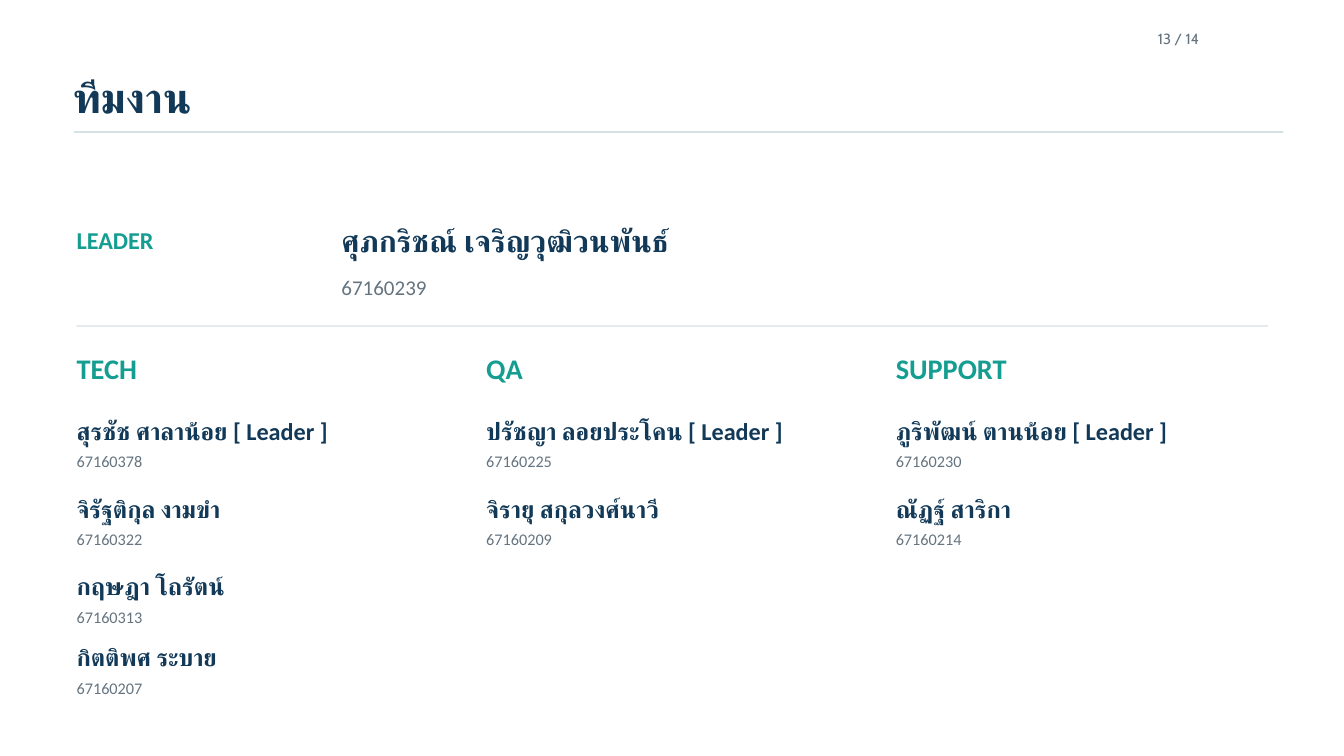
from lxml.etree import SubElement
from pptx import Presentation
from pptx.dml.color import RGBColor
from pptx.enum.shapes import MSO_SHAPE as Shape
from pptx.enum.text import MSO_AUTO_SIZE as Fit
from pptx.oxml.ns import qn
from pptx.util import Inches, Pt

WIDE, HIGH = 20, 11.25
NAVY, TEAL, GRAY, RULE = "123A58", "149D91", "657480", "D6E1E6"

# Grid: three team columns, four member rows
LEFT, STEP = 1.14, 6.095
ROWS = [6.19, 7.35, 8.51, 9.56]
DROP = 0.53  # from a name down to its number

TEAMS = {
    "TECH": [
        ("สุรชัช ศาลาน้อย [ Leader ]", "67160378"),
        ("จิรัฐติกุล งามขำ", "67160322"),
        ("กฤษฎา โถรัตน์", "67160313"),
        ("กิตติพศ ระบาย", "67160207"),
    ],
    "QA": [
        ("ปรัชญา ลอยประโคน [ Leader ]", "67160225"),
        ("จิรายุ สกุลวงศ์นาวี", "67160209"),
    ],
    "SUPPORT": [
        ("ภูริพัฒน์ ตานน้อย [ Leader ]", "67160230"),
        ("ณัฏฐ์ สาริกา", "67160214"),
    ],
}


def color(code):
    return RGBColor.from_string(code)


def add_text(slide, words, box, size, ink, bold=False, face="Calibri"):
    """Place one line of text with a line height of 1.2."""
    frame = slide.shapes.add_textbox(*map(Inches, box)).text_frame
    frame.margin_left = frame.margin_right = 0
    frame.margin_top = frame.margin_bottom = 0
    frame.word_wrap = True
    frame.auto_size = Fit.SHAPE_TO_FIT_TEXT
    para = frame.paragraphs[0]
    para.line_spacing = Pt(size * 1.2)
    run = para.add_run()
    run.text = words
    font = run.font
    font.name, font.size, font.bold = face, Pt(size), bold
    font.color.rgb = color(ink)
    # Thai letters take the complex-script face
    SubElement(run._r.get_or_add_rPr(), qn("a:cs"), typeface=face)


def add_rule(slide, *box):
    """Draw a thin filled bar."""
    bar = slide.shapes.add_shape(Shape.RECTANGLE, *map(Inches, box))
    bar.shadow.inherit = False
    bar.fill.solid()
    bar.fill.fore_color.rgb = color(RULE)
    bar.line.fill.background()


def add_team(slide, left, title, people):
    """Fill one column with a team title and its members."""
    add_text(slide, title, (left, 5.23, 5.55, 0.5), 30.4, TEAL, True)
    for top, (name, code) in zip(ROWS, people):
        add_text(slide, name, (left, top, 5.52, 0.44), 25.9, NAVY, True)
        add_text(slide, code, (left, top + DROP, 1.48, 0.28), 17.4, GRAY)


def main():
    deck = Presentation()
    deck.slide_width, deck.slide_height = Inches(WIDE), Inches(HIGH)
    slide = deck.slides.add_slide(deck.slide_layouts[6])

    # Header
    add_text(slide, "13 / 14", (17.23, 0.44, 1.68, 0.26), 15.8, GRAY,
             face="Cabin")
    add_text(slide, "ทีมงาน", (1.1, 1.06, 17.8, 0.76), 45, NAVY, True)
    add_rule(slide, 1.1, 1.95, 18, 0.03)

    # Project leader
    add_text(slide, "LEADER", (LEFT, 3.36, 3.75, 0.44), 25.9, TEAL, True)
    add_text(slide, "ศุภกริชณ์ เจริญวุฒิวนพันธ์", (5.08, 3.3, 11.09, 0.55),
             32.6, NAVY, True)
    add_text(slide, "67160239", (5.08, 4.08, 13.75, 0.39), 22.5, GRAY)
    add_rule(slide, LEFT, 4.84, 17.73, 0.02)

    # Teams
    for col, (title, people) in enumerate(TEAMS.items()):
        add_team(slide, LEFT + col * STEP, title, people)

    deck.save("out.pptx")


if __name__ == "__main__":
    main()
